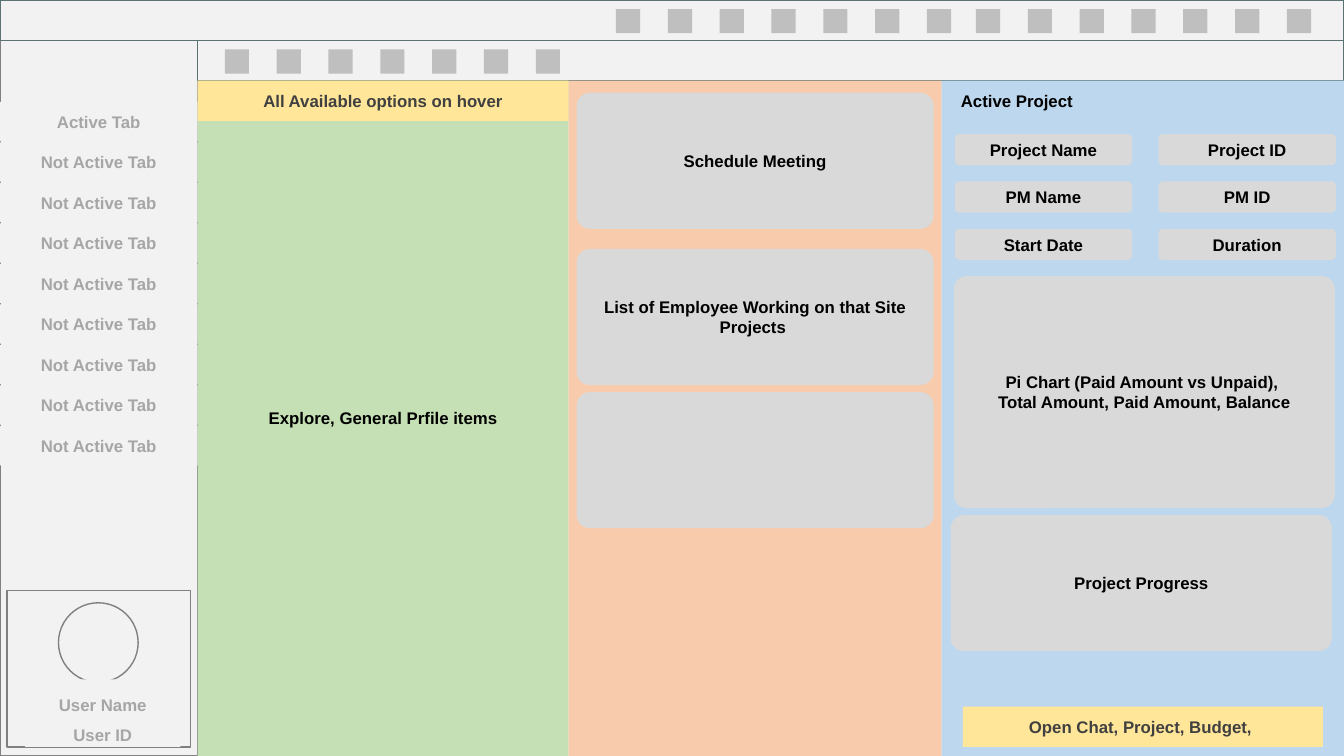
from pptx import Presentation
from pptx.dml.color import RGBColor
from pptx.enum.shapes import MSO_SHAPE
from pptx.enum.text import MSO_ANCHOR, MSO_AUTO_SIZE, PP_ALIGN
from pptx.util import Inches, Pt

# Colours
PAGE_GREY = RGBColor(0xF7, 0xF7, 0xF7)
FRAME_GREY = RGBColor(0xF2, 0xF2, 0xF2)
CARD_GREY = RGBColor(0xD9, 0xD9, 0xD9)
ICON_GREY = RGBColor(0xBF, 0xBF, 0xBF)
MUTED_TEXT = RGBColor(0xA6, 0xA6, 0xA6)
DARK_TEXT = RGBColor(0x40, 0x40, 0x40)
BLACK = RGBColor(0x00, 0x00, 0x00)
SIDEBAR_LINE = RGBColor(0x80, 0x80, 0x80)
BAR_LINE = RGBColor(0x5D, 0x73, 0x73)
GREEN = RGBColor(0xC5, 0xE0, 0xB4)
ORANGE = RGBColor(0xF8, 0xCB, 0xAD)
BLUE = RGBColor(0xBD, 0xD7, 0xEE)
YELLOW = RGBColor(0xFF, 0xE6, 0x99)

# Grid in inches: column edges, and the height of one bar row
WIDTH, HEIGHT = 13.33, 7.5
MENU, MEETINGS, PROJECT = 1.96, 5.64, 9.34
BAR = 0.4
TOP = 2 * BAR
ICON, ICON_STEP = 0.24, 0.514
TAB_STEP = 0.402
CARD_HEIGHT, CARD_RADIUS = 1.35, 0.13
FIELD_HEIGHT, FIELD_RADIUS = 0.31, 0.045


def style_text(frame, lines, color, align=PP_ALIGN.CENTER, spacing=None):
    """Write one bold paragraph per line."""
    frame.word_wrap = True
    frame.text = "\n".join(lines)
    for paragraph in frame.paragraphs:
        paragraph.alignment = align
        paragraph.line_spacing = spacing
        font = paragraph.font
        font.name, font.size, font.bold = "Arial", Pt(12), True
        font.color.rgb = color


def add_box(slide, left, top, width, height, fill, lines=(), color=BLACK,
            line=None, kind=MSO_SHAPE.RECTANGLE):
    box = slide.shapes.add_shape(
        kind, Inches(left), Inches(top), Inches(width), Inches(height))
    box.shadow.inherit = False
    box.fill.solid()
    box.fill.fore_color.rgb = fill
    if line is None:
        box.line.fill.background()
    else:
        box.line.color.rgb = line
        box.line.width = Pt(1)
    if lines:
        style_text(box.text_frame, lines, color)
        box.text_frame.vertical_anchor = MSO_ANCHOR.MIDDLE
    return box


def add_card(slide, left, top, width, height, lines=(), radius=CARD_RADIUS):
    card = add_box(slide, left, top, width, height, CARD_GREY, lines,
                   kind=MSO_SHAPE.ROUNDED_RECTANGLE)
    card.adjustments[0] = radius / min(width, height)


def add_icons(slide, left, bar_top, count=7):
    for index in range(count):
        add_box(slide, left + index * ICON_STEP, bar_top + 0.09,
                ICON, ICON, ICON_GREY)


def add_frame(slide):
    add_box(slide, 0, BAR, MENU, HEIGHT - BAR, FRAME_GREY, line=SIDEBAR_LINE)
    add_box(slide, 0, 0, WIDTH, BAR, FRAME_GREY, line=BAR_LINE)
    add_box(slide, MENU, BAR, WIDTH - MENU, BAR, FRAME_GREY, line=BAR_LINE)
    for left, bar_top in ((2.23, BAR), (6.11, 0), (9.68, 0)):
        add_icons(slide, left, bar_top)


def add_sidebar(slide):
    tabs = ["Active Tab"] + ["Not Active Tab"] * 8
    for index, name in enumerate(tabs):
        add_box(slide, 0, 1.01 + index * TAB_STEP, MENU, 0.39,
                FRAME_GREY, [name], MUTED_TEXT)

    # User profile
    add_box(slide, 0.07, 5.86, 1.82, 1.55, FRAME_GREY, line=SIDEBAR_LINE)
    add_box(slide, 0.58, 5.98, 0.79, 0.79, FRAME_GREY, line=SIDEBAR_LINE,
            kind=MSO_SHAPE.OVAL)
    user = add_box(slide, 0.25, 6.74, 1.54, 0.67, FRAME_GREY)
    frame = user.text_frame
    style_text(frame, ["User Name", "User ID"], MUTED_TEXT, spacing=1.5)
    frame.vertical_anchor = MSO_ANCHOR.TOP
    frame.auto_size = MSO_AUTO_SIZE.SHAPE_TO_FIT_TEXT


def add_panels(slide):
    height = HEIGHT - TOP
    add_box(slide, MENU, TOP, MEETINGS - MENU, height, GREEN,
            ["Explore, General Prfile items"])
    add_box(slide, MENU, TOP, MEETINGS - MENU, BAR, YELLOW,
            ["All Available options on hover"], DARK_TEXT)
    add_box(slide, MEETINGS, TOP, PROJECT - MEETINGS, height, ORANGE)
    add_box(slide, PROJECT, TOP, WIDTH - PROJECT, height, BLUE)


def add_meeting_cards(slide):
    cards = (
        (0.92, ["Schedule Meeting"]),
        (2.47, ["List of Employee Working on that Site Projects "]),
        (3.89, []),
    )
    for top, lines in cards:
        add_card(slide, MEETINGS + 0.08, top, 3.54, CARD_HEIGHT, lines)


def add_project(slide):
    # Heading, raised above the panel
    title = slide.shapes.title
    title.left, title.top = Inches(9.43), Inches(0.85)
    title.width, title.height = Inches(1.8), Inches(0.3)
    style_text(title.text_frame, ["Active Project"], BLACK, PP_ALIGN.LEFT)
    title.text_frame.vertical_anchor = MSO_ANCHOR.TOP
    title.text_frame.auto_size = MSO_AUTO_SIZE.SHAPE_TO_FIT_TEXT
    title.element.getparent().append(title.element)

    # Project fields
    fields = (
        ("Project Name", "Project ID"),
        ("PM Name", "PM ID"),
        ("Start Date", "Duration"),
    )
    for row, names in enumerate(fields):
        for column, name in enumerate(names):
            add_card(slide, 9.47 + column * 2.02, 1.33 + row * 0.47,
                     1.76, FIELD_HEIGHT, [name], FIELD_RADIUS)

    # Payment, progress and shortcuts
    add_card(slide, 9.46, 2.74, 3.78, 2.3,
             ["Pi Chart (Paid Amount vs Unpaid), ",
              "Total Amount, Paid Amount, Balance"])
    add_card(slide, 9.43, 5.11, 3.78, CARD_HEIGHT, ["Project Progress"])
    add_box(slide, 9.55, 7.01, 3.57, BAR, YELLOW,
            ["Open Chat, Project, Budget, "], DARK_TEXT)


def main():
    deck = Presentation()
    deck.slide_width, deck.slide_height = Inches(WIDTH), Inches(HEIGHT)
    title_only = deck.slide_layouts[5]
    slide = deck.slides.add_slide(title_only)
    slide.background.fill.solid()
    slide.background.fill.fore_color.rgb = PAGE_GREY
    add_frame(slide)
    add_sidebar(slide)
    add_panels(slide)
    add_meeting_cards(slide)
    add_project(slide)
    deck.save("out.pptx")


if __name__ == "__main__":
    main()
